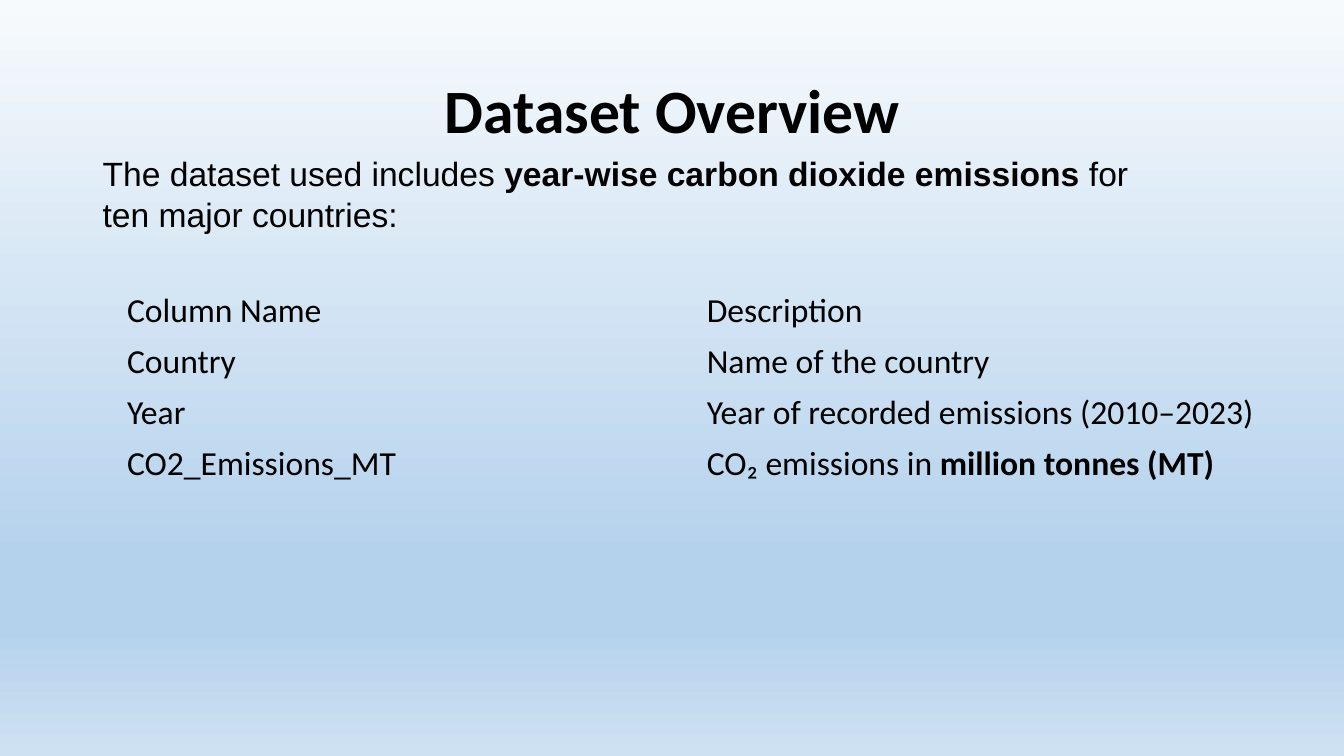
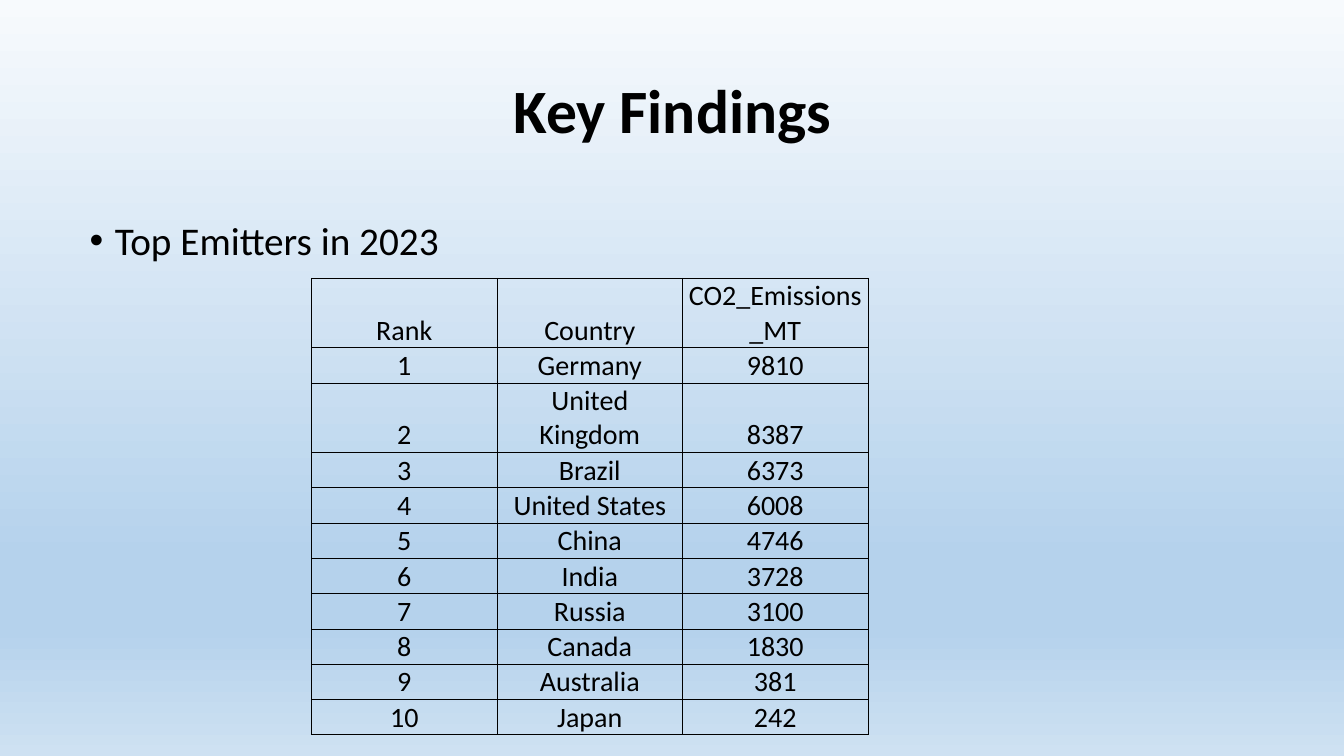
"""Build two slides on carbon dioxide emissions: dataset overview and key findings."""
import pptx
import pptx.dml.color
import pptx.enum.text
import pptx.oxml
import pptx.oxml.ns
import pptx.util
from lxml import etree

Inches = pptx.util.Inches
Pt = pptx.util.Pt
qn = pptx.oxml.ns.qn
ANCHOR = pptx.enum.text.MSO_ANCHOR
CENTER = pptx.enum.text.PP_ALIGN.CENTER
BLACK = "000000"
BACKGROUND_STOPS = [(0, "F7FAFD"), (74, "B5D2EC"), (83, "B5D2EC"), (100, "CEE1F2")]
PLAIN_TABLE_STYLE = "{2D5ABB26-0587-4C30-8999-92F81FD0307C}"


def write(paragraph, text, size, font="Calibri"):
    """Write text into a paragraph, with the parts between ** in bold."""
    for index, part in enumerate(text.split("**")):
        if part:
            run = paragraph.add_run()
            run.text = part
            run.font.size = Pt(size)
            run.font.name = font
            run.font.bold = index % 2 == 1
            run.font.color.rgb = pptx.dml.color.RGBColor.from_string(BLACK)


def add_plain_table(slide, rows, left, top, column_width, row_heights, size):
    """Add a table without fills or style lines and return it."""
    frame = slide.shapes.add_table(
        len(rows), len(rows[0]), Inches(left), Inches(top),
        Inches(column_width * len(rows[0])), Inches(sum(row_heights)))
    table = frame.table
    table.first_row = False
    table.horz_banding = False
    frame.element.find(".//" + qn("a:tableStyleId")).text = PLAIN_TABLE_STYLE
    for column in table.columns:
        column.width = Inches(column_width)
    for row, height, texts in zip(table.rows, row_heights, rows):
        row.height = Inches(height)
        for cell, text in zip(row.cells, texts):
            cell.fill.background()
            cell.vertical_anchor = ANCHOR.MIDDLE
            write(cell.text_frame.paragraphs[0], text, size)
    return table


presentation = pptx.Presentation()
presentation.slide_width = Inches(13.33)
presentation.slide_height = Inches(7.5)

master = presentation.slide_master
background = master.background.fill
background.gradient()
background.gradient_angle = 270
stop_list = master.element.find(".//" + qn("p:bg")).find(".//" + qn("a:gsLst"))
for stop in list(stop_list):
    stop_list.remove(stop)
for position, color in BACKGROUND_STOPS:
    stop = etree.SubElement(stop_list, qn("a:gs"), pos=str(position * 1000))
    etree.SubElement(stop, qn("a:srgbClr"), val=color)

slides = []
for heading in ("Dataset Overview", "Key Findings"):
    slide = presentation.slides.add_slide(presentation.slide_layouts[5])
    title = slide.shapes.title
    title.left, title.top = Inches(0.92), Inches(0.4)
    title.width, title.height = Inches(11.5), Inches(1.45)
    title.text_frame.auto_size = pptx.enum.text.MSO_AUTO_SIZE.NONE
    title.text_frame.vertical_anchor = ANCHOR.MIDDLE
    paragraph = title.text_frame.paragraphs[0]
    paragraph.alignment = CENTER
    paragraph.line_spacing = 0.9
    write(paragraph, f"**{heading}**", 44)
    slides.append(slide)
overview, findings = slides

dataset_columns = [
    ("Column Name", "Description"),
    ("Country", "Name of the country"),
    ("Year", "Year of recorded emissions (2010–2023)"),
    ("CO2_Emissions_MT", "CO₂ emissions in **million tonnes (MT)**"),
]
add_plain_table(overview, dataset_columns, 1.16, 2.83, 5.75, [0.5] * 4, 24)

introduction = overview.shapes.add_textbox(
    Inches(0.92), Inches(1.47), Inches(10.47), Inches(0.87)).text_frame
introduction.word_wrap = True
write(introduction.paragraphs[0],
      "The dataset used includes **year-wise carbon dioxide emissions** for", 24, "Arial")
write(introduction.add_paragraph(), "ten major countries:", 24, "Arial")

bullet_frame = findings.shapes.add_textbox(
    Inches(0.79), Inches(2.15), Inches(11.5), Inches(0.6)).text_frame
bullet_frame.word_wrap = True
paragraph = bullet_frame.paragraphs[0]
paragraph.line_spacing = 0.9
paragraph.space_before = Pt(10)
write(paragraph, "Top Emitters in 2023", 28)
properties = paragraph._p.get_or_add_pPr()
properties.set("marL", str(Inches(0.25)))
properties.set("indent", str(Inches(-0.25)))
etree.SubElement(properties, qn("a:buFont"), typeface="Arial")
etree.SubElement(properties, qn("a:buChar"), char="•")

emitters = [
    ("Germany", 9810), ("United Kingdom", 8387), ("Brazil", 6373),
    ("United States", 6008), ("China", 4746), ("India", 3728), ("Russia", 3100),
    ("Canada", 1830), ("Australia", 381), ("Japan", 242),
]
ranking = [("Rank", "Country", "CO2_Emissions_MT")]
for rank, (country, emissions) in enumerate(emitters, 1):
    ranking.append((str(rank), country, str(emissions)))
row_heights = [0.69, 0.35, 0.69] + [0.35] * 8
ranking_table = add_plain_table(findings, ranking, 3.09, 2.76, 1.84, row_heights, 20)
for cell in ranking_table.iter_cells():
    cell.vertical_anchor = ANCHOR.BOTTOM
    cell.margin_left = cell.margin_right = cell.margin_top = Inches(0.01)
    cell.margin_bottom = 0
    cell.text_frame.paragraphs[0].alignment = CENTER
    for index, side in enumerate(("a:lnL", "a:lnR", "a:lnT", "a:lnB")):
        border = pptx.oxml.parse_xml(
            f'<{side} {pptx.oxml.ns.nsdecls("a")} w="{Pt(0.5)}"><a:solidFill>'
            f'<a:srgbClr val="{BLACK}"/></a:solidFill></{side}>')
        cell._tc.get_or_add_tcPr().insert(index, border)

presentation.save("out.pptx")
